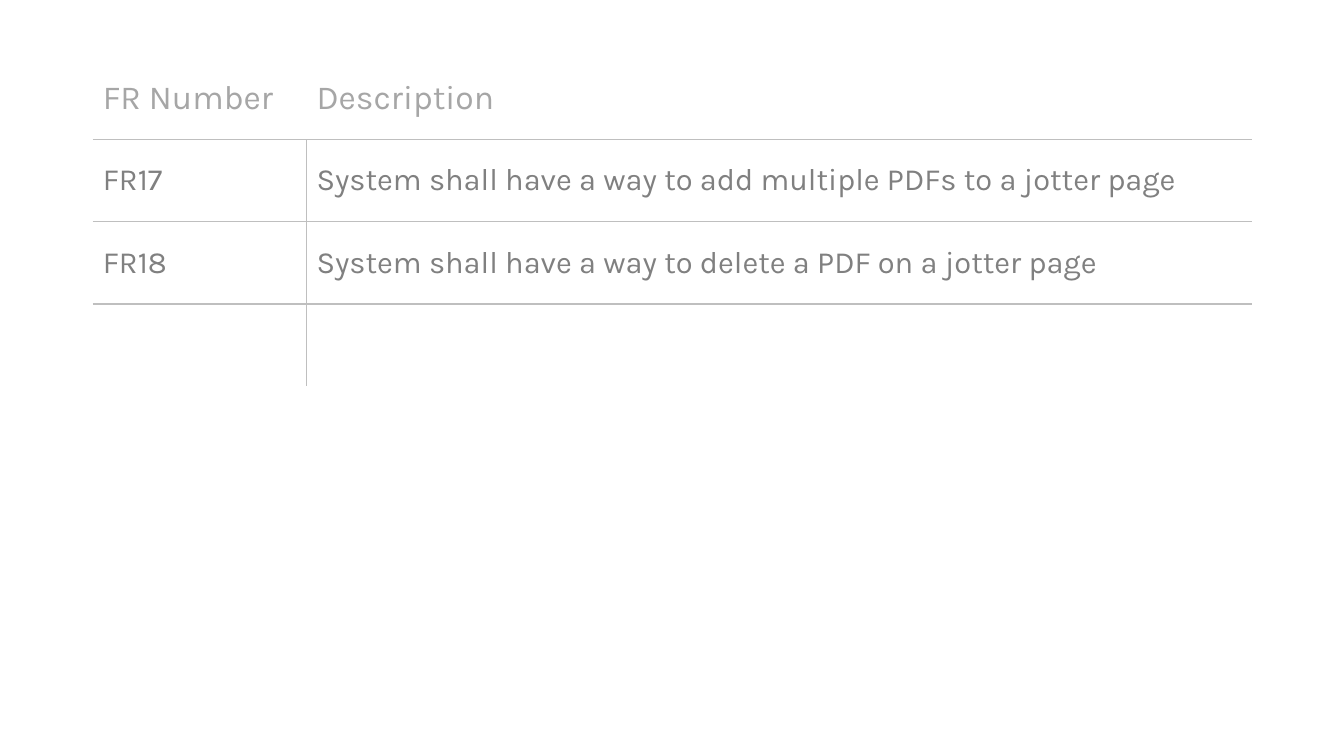
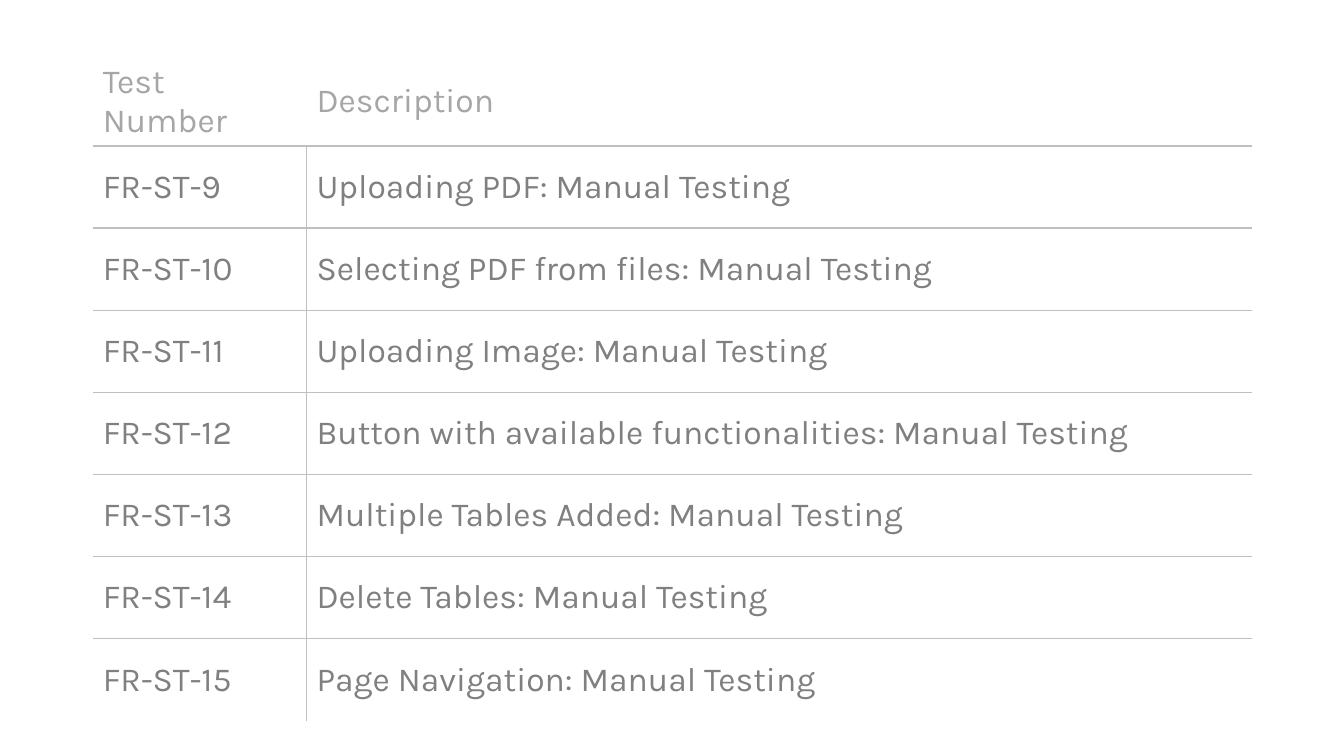
"""Build two slides of requirement and test tables."""
from dataclasses import dataclass

from pptx import Presentation
from pptx import util as u
from pptx.dml.color import RGBColor
from pptx.enum import text
from pptx.oxml import ns, xmlchemy


@dataclass(frozen=True)
class Theme:
    font: str = "Karla"
    header: str = "A6A6A6"
    body: str = "808080"
    rule: str = "BFBFBF"
    header_size: int = 24
    rule_width: int = 1


@dataclass(frozen=True)
class TableSlide:
    headings: tuple[str, str]
    rows: tuple[tuple[str, str], ...]
    body_size: int


THEME = Theme()
LEFT, TOP = u.Inches(0.92), u.Inches(0.57)
COLUMNS = (u.Inches(2.12), u.Inches(9.38))
ROW_HEIGHT = u.Inches(3.26) // 4

SLIDES = (
    TableSlide(
        ("FR Number", "Description"),
        (
            ("FR17", "System shall have a way to add multiple PDFs to a jotter page"),
            ("FR18", "System shall have a way to delete a PDF on a jotter page"),
            ("", ""),
        ),
        22,
    ),
    TableSlide(
        ("Test Number", "Description"),
        (
            ("FR-ST-9", "Uploading PDF: Manual Testing"),
            ("FR-ST-10", "Selecting PDF from files: Manual Testing"),
            ("FR-ST-11", "Uploading Image: Manual Testing"),
            ("FR-ST-12", "Button with available functionalities: Manual Testing"),
            ("FR-ST-13", "Multiple Tables Added: Manual Testing"),
            ("FR-ST-14", "Delete Tables: Manual Testing"),
            ("FR-ST-15", "Page Navigation: Manual Testing"),
        ),
        24,
    ),
)


def set_borders(cell, visible: dict[str, bool]) -> None:
    """Draw the visible sides of a cell and clear the others."""
    tc_pr = cell._tc.get_or_add_tcPr()
    for side, shown in visible.items():
        ln = xmlchemy.OxmlElement(f"a:ln{side}")
        ln.set("w", str(u.Pt(THEME.rule_width)))
        fill = xmlchemy.OxmlElement("a:solidFill" if shown else "a:noFill")
        if shown:
            color = fill.makeelement(ns.qn("a:srgbClr"), {"val": THEME.rule})
            fill.append(color)
        ln.append(fill)
        tc_pr.append(ln)


def write_cell(cell, value: str, size: int, color: str) -> None:
    """Write one run of text, centred vertically."""
    cell.vertical_anchor = text.MSO_ANCHOR.MIDDLE
    cell.margin_right = u.Inches(0.15)
    if value:
        r = cell.text_frame.paragraphs[0].add_run()
        r.text = value
        r.font.name = THEME.font
        r.font.size = u.Pt(size)
        r.font.color.rgb = RGBColor.from_string(color)


def add_table_slide(prs, content: TableSlide) -> None:
    """Add a slide with a table ruled only on its inside edges."""
    s = prs.slides.add_slide(prs.slide_layouts[6])
    rows = (content.headings, *content.rows)
    last = len(rows) - 1
    table = s.shapes.add_table(
        len(rows), len(COLUMNS), LEFT, TOP, sum(COLUMNS), ROW_HEIGHT * len(rows)
    ).table
    table.first_row = False
    table.horz_banding = False
    for column, width in zip(table.columns, COLUMNS):
        column.width = width
    for i, values in enumerate(rows):
        table.rows[i].height = ROW_HEIGHT
        is_header = i == 0
        size = THEME.header_size if is_header else content.body_size
        color = THEME.header if is_header else THEME.body
        for j, value in enumerate(values):
            cell = table.cell(i, j)
            write_cell(cell, value, size, color)
            set_borders(cell, {
                "L": j == 1 and not is_header,
                "R": j == 0 and not is_header,
                "T": not is_header,
                "B": i < last,
            })
            cell.fill.background()


def main() -> None:
    """Build and save the presentation."""
    prs = Presentation()
    prs.slide_width, prs.slide_height = u.Inches(13.33), u.Inches(7.5)
    for content in SLIDES:
        add_table_slide(prs, content)
    prs.save("out.pptx")


if __name__ == "__main__":
    main()
